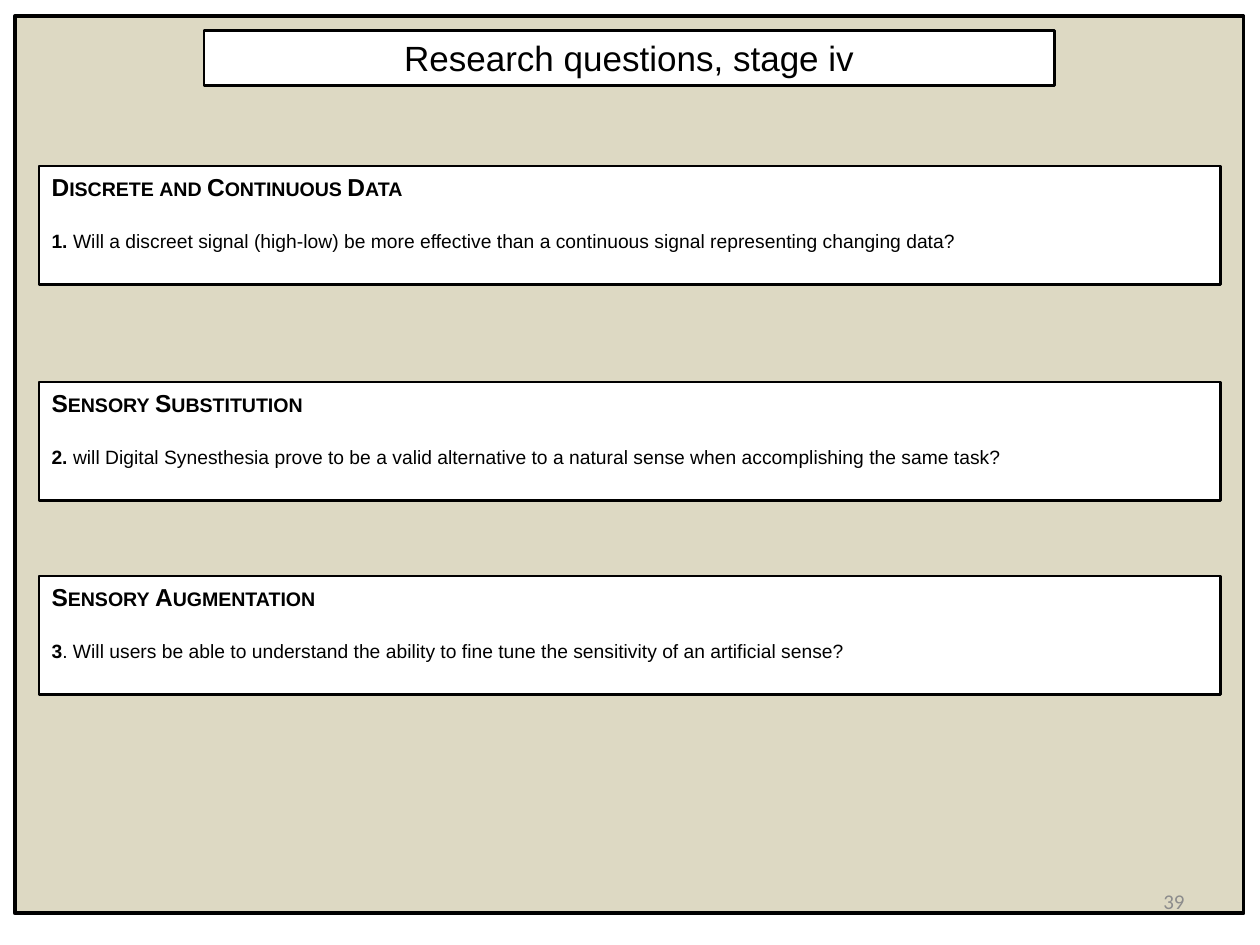
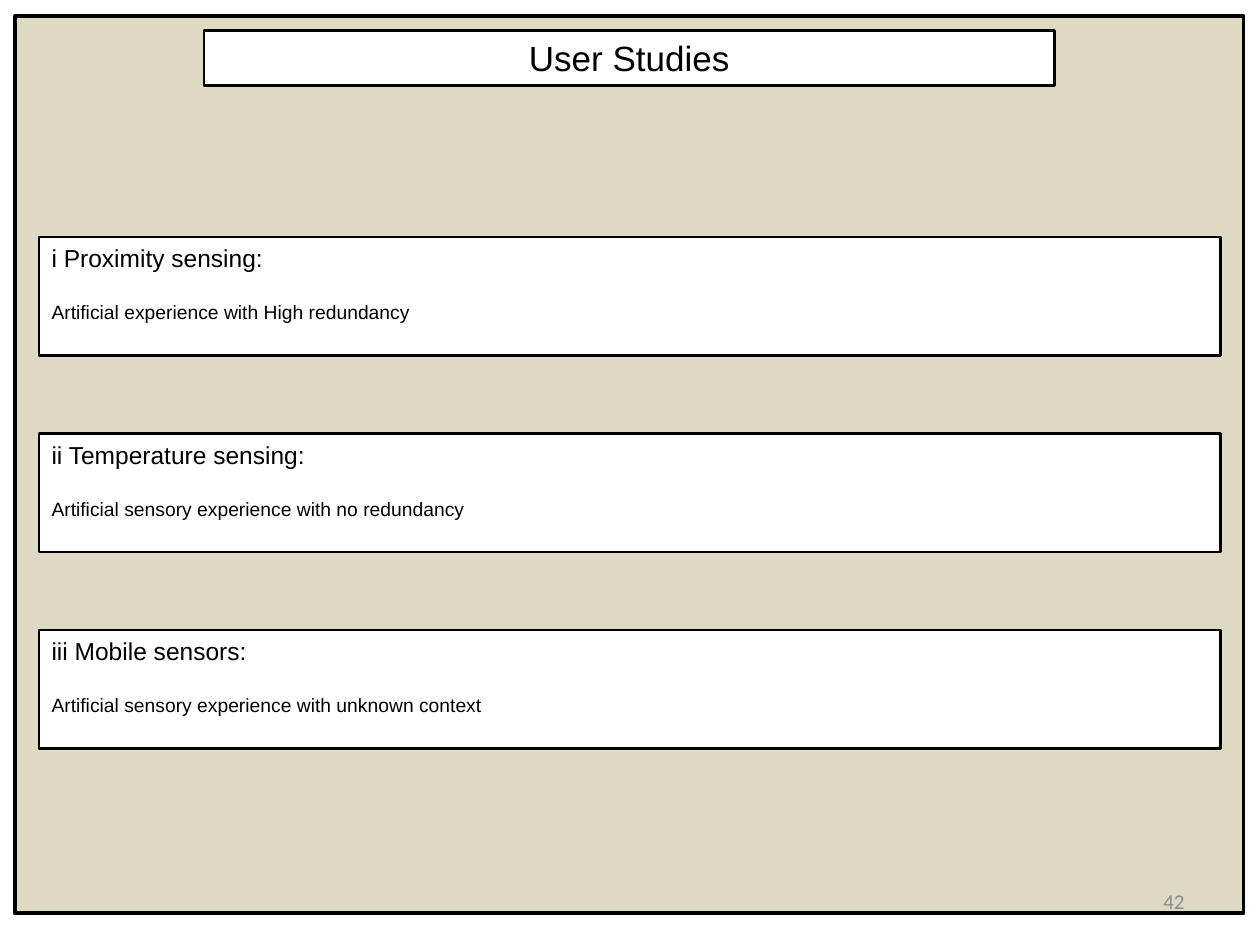
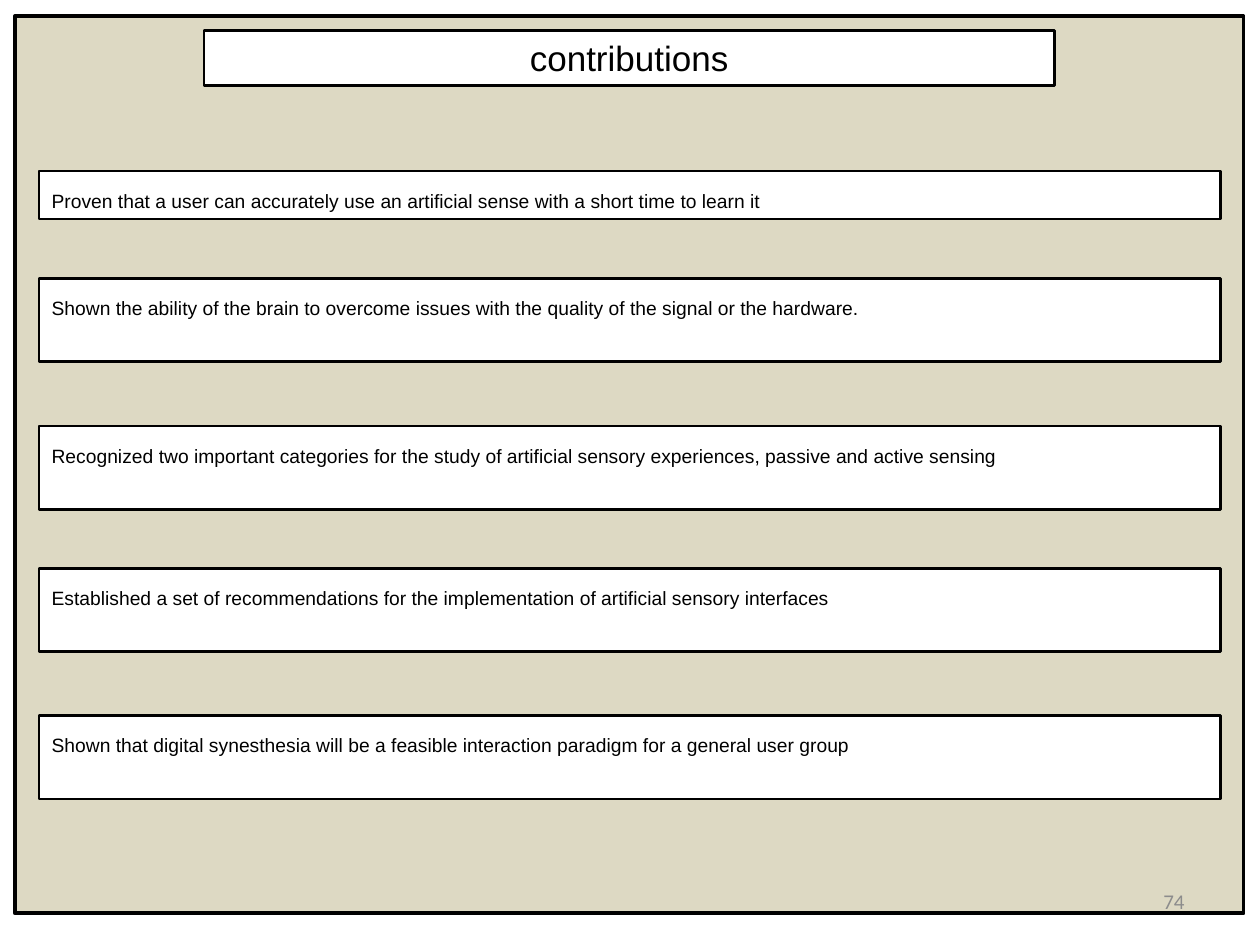
import dataclasses

import pptx
import pptx.dml.color
import pptx.enum.shapes
import pptx.enum.text
import pptx.util

Cm = pptx.util.Cm
Pt = pptx.util.Pt
ALIGN = pptx.enum.text.PP_ALIGN
ANCHOR = pptx.enum.text.MSO_ANCHOR

COLORS = {
    "sand": "DDD9C3",
    "panel": "FFFFFF",
    "ink": "000000",
    "page_number": "8C8C8C",
}
BODY_FONT = "Arial"
NUMBER_FONT = "Calibri"
TITLE_SIZE = 20
HEADING_SIZE = 14
BODY_SIZE = 11
NUMBER_SIZE = 12
HEADING_GAP = 16
PANEL_LEFT = 0.79
PANEL_WIDTH = 23.82
TOPIC_HEIGHT = 2.39
CONTRIBUTION_HEIGHT = 1.68
STUDY_TOP = 4.78
STUDY_PITCH = 3.96


@dataclasses.dataclass(frozen=True)
class Box:
    left: float
    top: float
    width: float
    height: float

    def lengths(self) -> tuple:
        return Cm(self.left), Cm(self.top), Cm(self.width), Cm(self.height)


@dataclasses.dataclass(frozen=True)
class Panel:
    top: float
    body: str
    heading: str = ""
    number: str = ""
    height: float = TOPIC_HEIGHT


@dataclasses.dataclass(frozen=True)
class Page:
    title: str
    number: str
    panels: list[Panel]


FRAME = Box(0.3, 0.33, 24.77, 18.08)
TITLE = Box(4.11, 0.61, 17.15, 1.12)
PAGE_NUMBER = Box(18.21, 17.65, 5.92, 1.02)

QUESTIONS = [
    Panel(
        3.35,
        "Will a discreet signal (high-low) be more effective than a continuous signal representing changing data?",
        "Discrete and Continuous Data",
        "1. ",
    ),
    Panel(
        7.7,
        "will Digital Synesthesia prove to be a valid alternative to a natural sense when accomplishing the same task?",
        "Sensory Substitution",
        "2. ",
    ),
    Panel(
        11.61,
        ". Will users be able to understand the ability to fine tune the sensitivity of an artificial sense?",
        "Sensory Augmentation",
        "3",
    ),
]
STUDIES = [
    Panel(STUDY_TOP + STUDY_PITCH * index, body, heading)
    for index, (heading, body) in enumerate([
        ("i Proximity sensing:", "Artificial experience with High redundancy"),
        ("ii Temperature sensing:", "Artificial sensory experience with no redundancy"),
        ("iii Mobile sensors:", "Artificial sensory experience with unknown context"),
    ])
]
CONTRIBUTIONS = [
    Panel(
        3.45,
        "Proven that a user can accurately use an artificial sense with a short time to learn it",
        height=0.97,
    ),
    Panel(
        5.61,
        "Shown the ability of the brain to overcome issues with the quality of the signal or the hardware.",
        height=CONTRIBUTION_HEIGHT,
    ),
    Panel(
        8.59,
        "Recognized two important categories for the study of artificial sensory experiences, passive and active sensing",
        height=CONTRIBUTION_HEIGHT,
    ),
    Panel(
        11.46,
        "Established a set of recommendations for the implementation of artificial sensory interfaces",
        height=CONTRIBUTION_HEIGHT,
    ),
    Panel(
        14.43,
        "Shown that digital synesthesia will be a feasible interaction paradigm for a general user group",
        height=CONTRIBUTION_HEIGHT,
    ),
]
PAGES = [
    Page("Research questions, stage iv", "39", QUESTIONS),
    Page("User Studies", "42", STUDIES),
    Page("contributions", "74", CONTRIBUTIONS),
]


def rgb(name: str) -> pptx.dml.color.RGBColor:
    return pptx.dml.color.RGBColor.from_string(COLORS[name])


def add_box(slide, box: Box, fill: str, line_width: float):
    shape = slide.shapes.add_shape(
        pptx.enum.shapes.MSO_SHAPE.RECTANGLE, *box.lengths()
    )
    shape.shadow.inherit = False
    shape.fill.solid()
    shape.fill.fore_color.rgb = rgb(fill)
    shape.line.color.rgb = rgb("ink")
    shape.line.width = Pt(line_width)
    shape.text_frame.word_wrap = True
    shape.text_frame.vertical_anchor = ANCHOR.TOP
    return shape


def add_run(paragraph, text: str, size: int, bold: bool = False,
            font: str = BODY_FONT, color: str = "ink"):
    run = paragraph.add_run()
    run.text = text
    run.font.name = font
    run.font.size = Pt(size)
    run.font.bold = bold
    run.font.color.rgb = rgb(color)
    return run


def add_title(slide, title: str) -> None:
    paragraph = add_box(slide, TITLE, "panel", 1.5).text_frame.paragraphs[0]
    paragraph.alignment = ALIGN.CENTER
    add_run(paragraph, title, TITLE_SIZE)


def add_panel(slide, panel: Panel) -> None:
    box = Box(PANEL_LEFT, panel.top, PANEL_WIDTH, panel.height)
    frame = add_box(slide, box, "panel", 1.5).text_frame
    paragraph = frame.paragraphs[0]
    paragraph.alignment = ALIGN.LEFT
    if panel.heading:
        is_question = bool(panel.number)
        heading = add_run(paragraph, panel.heading, HEADING_SIZE, is_question)
        if is_question:
            heading._r.get_or_add_rPr().set("cap", "small")
        paragraph = frame.add_paragraph()
        paragraph.alignment = ALIGN.LEFT
        paragraph.space_before = Pt(HEADING_GAP)
    else:
        paragraph.line_spacing = 1.5
    if panel.number:
        add_run(paragraph, panel.number, BODY_SIZE, True)
    add_run(paragraph, panel.body, BODY_SIZE)


def add_page_number(slide, number: str) -> None:
    frame = slide.shapes.add_textbox(*PAGE_NUMBER.lengths()).text_frame
    frame.word_wrap = True
    frame.vertical_anchor = ANCHOR.MIDDLE
    paragraph = frame.paragraphs[0]
    paragraph.alignment = ALIGN.RIGHT
    add_run(paragraph, number, NUMBER_SIZE, font=NUMBER_FONT, color="page_number")


def add_page(presentation, page: Page) -> None:
    slide = presentation.slides.add_slide(presentation.slide_layouts[6])
    add_box(slide, FRAME, "sand", 2.25)
    add_title(slide, page.title)
    for panel in page.panels:
        add_panel(slide, panel)
    add_page_number(slide, page.number)


def main() -> None:
    presentation = pptx.Presentation()
    presentation.slide_width = Cm(25.4)
    presentation.slide_height = Cm(19.05)
    for page in PAGES:
        add_page(presentation, page)
    presentation.save("out.pptx")


if __name__ == "__main__":
    main()
